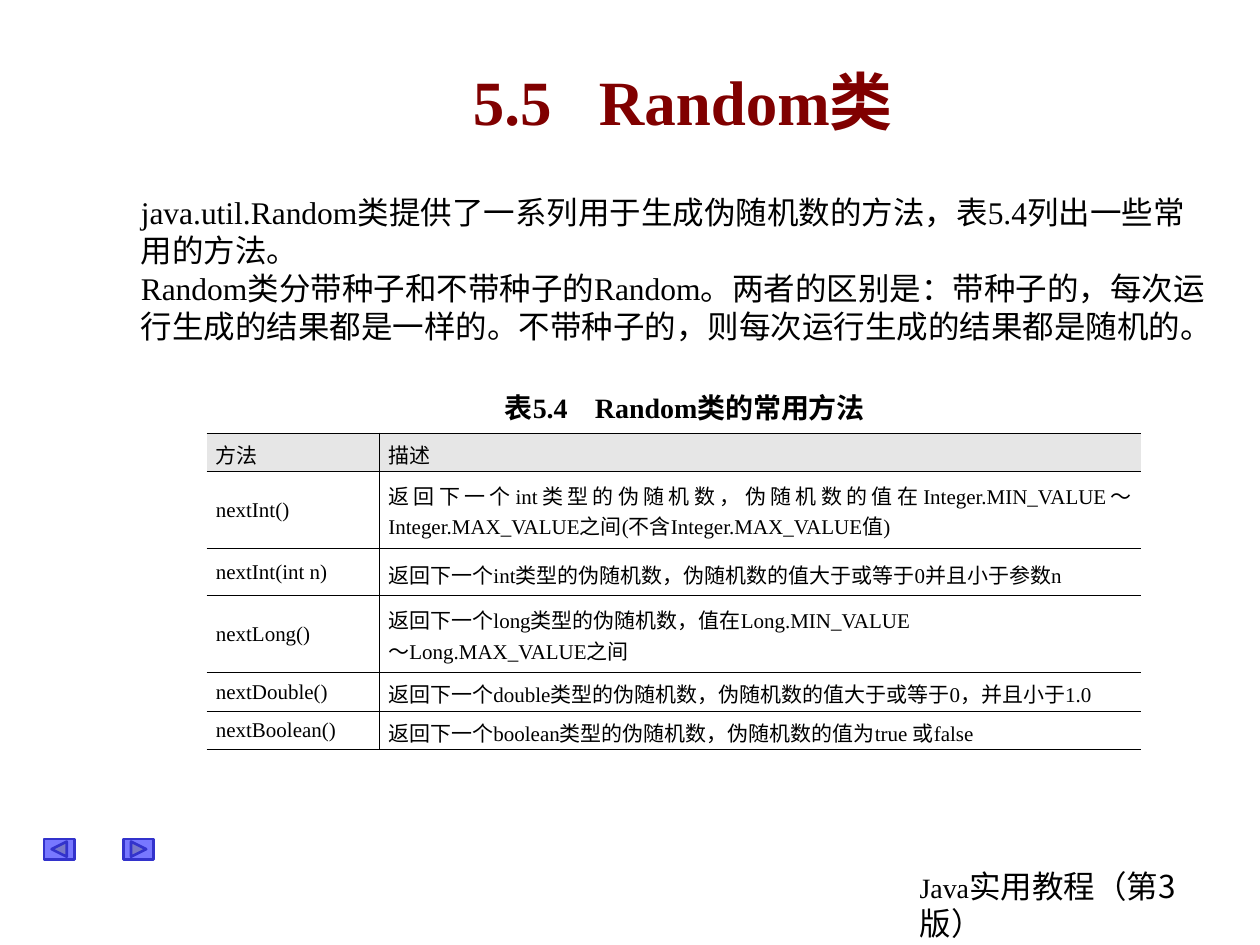
"""Build the Random class slide with its method table and navigation buttons."""
import dataclasses
import typing

import lxml.etree
import pptx
import pptx.dml.color
import pptx.enum.shapes
import pptx.enum.text
import pptx.oxml.ns
import pptx.util

Pt = pptx.util.Pt
RGBColor = pptx.dml.color.RGBColor
Align = pptx.enum.text.PP_ALIGN
Anchor = pptx.enum.text.MSO_ANCHOR
Shape = pptx.enum.shapes.MSO_SHAPE
qn = pptx.oxml.ns.qn

BLACK = RGBColor(0x00, 0x00, 0x00)
MAROON = RGBColor(0x80, 0x00, 0x00)
HEADER_GRAY = RGBColor(0xE6, 0xE6, 0xE6)
BUTTON_BLUE = RGBColor(0x00, 0x00, 0xFF)
BUTTON_EDGE = RGBColor(0x33, 0x33, 0xCC)
LATIN = "Times New Roman"
CHINESE = "Noto Sans CJK SC"


@dataclasses.dataclass
class Method:
    """One table row: the method, its description lines and the row height."""
    name: str
    description: list[str]
    height: float


@dataclasses.dataclass
class Button:
    """One navigation button."""
    kind: Shape
    left: float


METHODS = [
    Method("方法", ["描述"], 22),
    Method("nextInt()", ["返回下一个int类型的伪随机数，伪随机数的值在Integer.MIN_VALUE～"
                         "Integer.MAX_VALUE之间(不含Integer.MAX_VALUE值)"], 44),
    Method("nextInt(int n)", ["返回下一个int类型的伪随机数，伪随机数的值大于或等于0并且小于参数n"], 27),
    Method("nextLong()", ["返回下一个long类型的伪随机数，值在Long.MIN_VALUE",
                          "～Long.MAX_VALUE之间"], 44),
    Method("nextDouble()", ["返回下一个double类型的伪随机数，伪随机数的值大于或等于0，并且小于1.0"], 22),
    Method("nextBoolean()", ["返回下一个boolean类型的伪随机数，伪随机数的值为true 或false"], 22),
]
BUTTONS = [
    Button(Shape.ACTION_BUTTON_BACK_OR_PREVIOUS, 25.2),
    Button(Shape.ACTION_BUTTON_FORWARD_OR_NEXT, 70.6),
]


def add_text(para, text: str, *, size: float, latin: str = LATIN, color: RGBColor = BLACK,
             bold: bool = False, align: Align = Align.LEFT,
             spacing: typing.Optional[float] = None) -> None:
    """Append a formatted span to a paragraph."""
    para.alignment = align
    if spacing:
        para.line_spacing = Pt(spacing)
    span = para.add_run()
    span.text = text
    span.font.size = Pt(size)
    span.font.bold = bold
    span.font.color.rgb = color
    span.font.name = latin
    lxml.etree.SubElement(span.font._element, qn("a:ea"), typeface=CHINESE)


def add_paragraphs(frame, lines: list[str], **style) -> None:
    """Fill a text frame with one paragraph for each line."""
    for index, line in enumerate(lines):
        para = frame.add_paragraph() if index else frame.paragraphs[0]
        add_text(para, line, **style)


def add_box(page, left: float, top: float, width: float, height: float, wrap: bool = True):
    """Add a text box and return its text frame."""
    box = page.shapes.add_textbox(Pt(left), Pt(top), Pt(width), Pt(height))
    box.text_frame.word_wrap = wrap
    return box.text_frame


def set_border(cell, side: str, width: float) -> None:
    """Draw one cell edge, or hide it when the width is zero."""
    edge = lxml.etree.SubElement(cell._tc.get_or_add_tcPr(), qn(f"a:ln{side}"), w=str(Pt(width)))
    if width:
        fill = lxml.etree.SubElement(edge, qn("a:solidFill"))
        lxml.etree.SubElement(fill, qn("a:srgbClr"), val=str(BLACK))
    else:
        lxml.etree.SubElement(edge, qn("a:noFill"))


def add_method_table(page) -> None:
    """Add the table of methods."""
    height = sum(method.height for method in METHODS)
    table = page.shapes.add_table(len(METHODS), 2, Pt(118), Pt(247.5), Pt(534.2), Pt(height)).table
    table.first_row = table.horz_banding = False
    table.columns[0].width, table.columns[1].width = Pt(98.6), Pt(435.6)
    last = len(METHODS) - 1
    for row, method in enumerate(METHODS):
        table.rows[row].height = Pt(method.height)
        for column, lines in enumerate([[method.name], method.description]):
            cell = table.cell(row, column)
            chinese = column == 1 or row == 0
            tall = method.height > 40
            shift = 2.4 if chinese and not tall else 0
            cell.vertical_anchor = Anchor.MIDDLE
            cell.margin_left = cell.margin_right = Pt(5.4)
            cell.margin_top, cell.margin_bottom = Pt(3.6 + shift), Pt(3.6 - shift)
            spacing = (17.7 if tall else 14.5) if chinese else None
            add_paragraphs(cell.text_frame, lines, size=12, align=Align.JUSTIFY, spacing=spacing)
            set_border(cell, "L", 0.45 if column else 0)
            set_border(cell, "R", 0 if column else 0.45)
            set_border(cell, "T", 0.45 if row else 0.74)
            set_border(cell, "B", 0.74 if row == last else 0.45)
            if row:
                cell.fill.background()
            else:
                cell.fill.solid()
                cell.fill.fore_color.rgb = HEADER_GRAY


def add_button(page, button: Button) -> None:
    """Add a half-transparent navigation button."""
    shape = page.shapes.add_shape(button.kind, Pt(button.left), Pt(479.5), Pt(17.3), Pt(11.5))
    shape.shadow.inherit = False
    shape.fill.solid()
    shape.fill.fore_color.rgb = BUTTON_BLUE
    color = shape._element.spPr.find(qn("a:solidFill")).find(qn("a:srgbClr"))
    lxml.etree.SubElement(color, qn("a:alpha"), val="53000")
    shape.line.color.rgb = BUTTON_EDGE
    shape.line.width = Pt(1.5)


def main() -> None:
    """Build and save the deck."""
    deck = pptx.Presentation()
    deck.slide_width, deck.slide_height = Pt(720), Pt(540)
    page = deck.slides.add_slide(deck.slide_layouts[5])

    footer = add_box(page, 518.4, 492.5, 187.2, 50.4).paragraphs[0]
    add_text(footer, "Java", size=16, spacing=21.2)
    add_text(footer, "实用教程（第3版）", size=18, latin=CHINESE, spacing=21.2)
    for button in BUTTONS:
        add_button(page, button)

    title = page.shapes.title
    title.left, title.top, title.width, title.height = Pt(84.2), Pt(30.2), Pt(612), Pt(54)
    title.text_frame.vertical_anchor = Anchor.MIDDLE
    add_text(title.text_frame.paragraphs[0], "5.5 \tRandom类", size=36, color=MAROON,
             bold=True, align=Align.CENTER)

    body = add_box(page, 73.4, 106.6, 624.2, 136.8)
    add_paragraphs(body, [
        "java.util.Random类提供了一系列用于生成伪随机数的方法，表5.4列出一些常用的方法。",
        "Random类分带种子和不带种子的Random。两者的区别是：带种子的，每次运行生成的结果都是一样的。"
        "不带种子的，则每次运行生成的结果都是随机的。",
    ], size=18, spacing=21.7)

    add_method_table(page)

    caption = add_box(page, 279.4, 219.6, 223.9, 26.6, wrap=False)
    caption.vertical_anchor = Anchor.MIDDLE
    add_text(caption.paragraphs[0], "表5.4\tRandom类的常用方法", size=16, bold=True,
             align=Align.CENTER, spacing=19.2)
    stops = lxml.etree.SubElement(caption.paragraphs[0]._p.get_or_add_pPr(), qn("a:tabLst"))
    lxml.etree.SubElement(stops, qn("a:tab"), pos=str(Pt(51.5)), algn="l")

    deck.save("out.pptx")


main()
